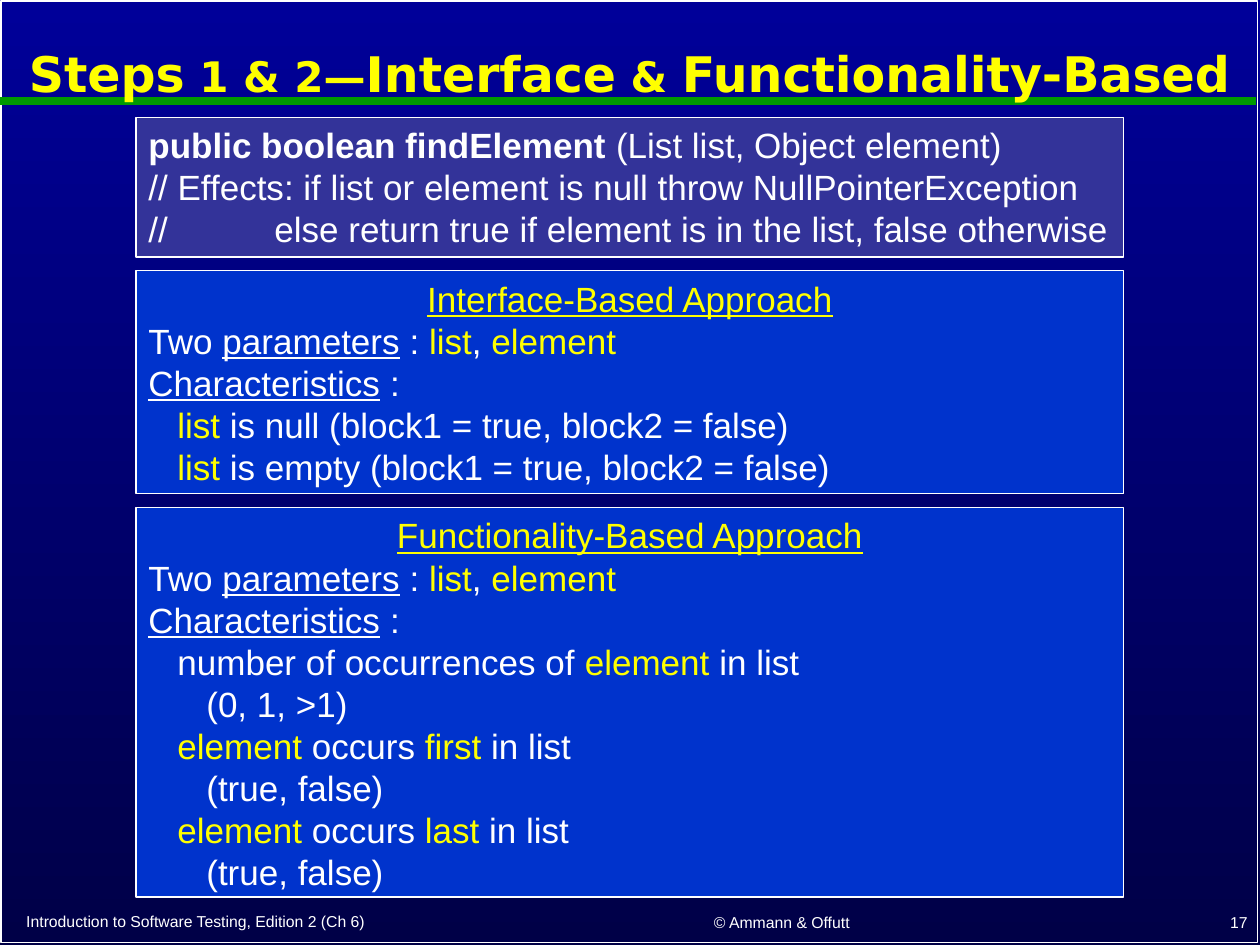
from lxml.etree import SubElement
from pptx import Presentation
from pptx.dml.color import RGBColor
from pptx.enum.shapes import MSO_CONNECTOR, MSO_SHAPE
from pptx.enum.text import MSO_ANCHOR, MSO_AUTO_SIZE, PP_ALIGN
from pptx.oxml.ns import qn
from pptx.util import Inches, Pt

THEME = {
    "top": "000099", "bottom": "000047", "rule": "009900",
    "text": "FFFFFF", "accent": "FFFF00", "code": "333399", "panel": "0033CC",
    "font": "Arial", "title_font": "DejaVu Sans",
    "title_size": 28, "title_small": 24, "body_size": 20, "footer_size": 9,
}
LEFT, CENTER, RIGHT = PP_ALIGN.LEFT, PP_ALIGN.CENTER, PP_ALIGN.RIGHT

# Run styles used in the content below
KEY = {"color": "accent"}
UNDER = {"underline": True}
HEADING = {"color": "accent", "underline": True}
BOLD = {"bold": True}
SMALL = {"size": "title_small"}

TITLE = [("Steps", {}), (" 1 & 2—", SMALL), ("Interface", {}),
         (" & ", SMALL), ("Functionality-Based", {})]

# A paragraph is (indent level, runs); a run is plain text or (text, style)
SIGNATURE = [
    (0, [("public boolean findElement ", BOLD), "(List list, Object element)"]),
    (0, ["// Effects: if list or element is null throw NullPointerException"]),
    (0, ["//\telse return true if element is in the list, false otherwise"]),
]
SHARED = [
    (0, ["Two ", ("parameters", UNDER), " : ", ("list", KEY), ", ", ("element", KEY)]),
    (0, [("Characteristics", UNDER), " :"]),
]
INTERFACE = [
    ("heading", [("Interface-Based Approach", HEADING)]),
    *SHARED,
    (1, [("list", KEY), " is null (block1 = true, block2 = false)"]),
    (1, [("list", KEY), " is empty (block1 = true, block2 = false)"]),
]
FUNCTIONALITY = [
    ("heading", [("Functionality-Based Approach", HEADING)]),
    *SHARED,
    (1, ["number of occurrences of ", ("element", KEY), " in list"]),
    (2, ["(0, 1, >1)"]),
    (1, [("element", KEY), " occurs ", ("first", KEY), " in list"]),
    (2, ["(true, false)"]),
    (1, [("element", KEY), " occurs ", ("last", KEY), " in list"]),
    (2, ["(true, false)"]),
]
BOXES = [("code", SIGNATURE), ("panel", INTERFACE), ("panel", FUNCTIONALITY)]

FOOTERS = [  # text, alignment, left, top, width, height
    ("Introduction to Software Testing, Edition 2 (Ch 6)", LEFT, 0.11, 7.18, 4.31, 0.26),
    ("© Ammann & Offutt", CENTER, 4.62, 7.17, 3.17, 0.27),
    ("17", RIGHT, 7.92, 7.16, 2.08, 0.28),
]

BOX_LEFT, BOX_TOP, BOX_WIDTH, BOX_GAP = 1.08, 0.93, 7.84, 0.11
LINE_HEIGHT, BOX_PADDING = 0.33, 0.12
INDENT, COMMENT_TAB = 0.23, 1


def color(name):
    return RGBColor.from_string(THEME[name])


def add_text(paragraph, runs, align=LEFT, indent=0, **defaults):
    """Fill a paragraph with runs; each run's style overrides the defaults."""
    paragraph.alignment = align
    properties = paragraph._p.get_or_add_pPr()
    if indent:
        properties.set("marL", str(Inches(indent)))
    if any("\t" in run for run in runs):
        tabs = SubElement(properties, qn("a:tabLst"))
        SubElement(tabs, qn("a:tab"), pos=str(Inches(COMMENT_TAB)), algn="l")
    for item in runs:
        text, own = (item, {}) if isinstance(item, str) else item
        style = {"font": "font", "color": "text", "size": "body_size", **defaults, **own}
        run = paragraph.add_run()
        run.text = text
        run.font.name = THEME[style["font"]]
        run.font.size = Pt(THEME[style["size"]])
        run.font.color.rgb = color(style["color"])
        run.font.bold = style.get("bold", False)
        run.font.underline = style.get("underline", False)


def add_rectangle(slide, left, top, width, height, fill=None, line_width=0.75):
    shape = slide.shapes.add_shape(MSO_SHAPE.RECTANGLE, Inches(left), Inches(top),
                                   Inches(width), Inches(height))
    shape.shadow.inherit = False
    if fill:
        shape.fill.solid()
        shape.fill.fore_color.rgb = color(fill)
    else:
        shape.fill.background()
    shape.line.color.rgb = color("text")
    shape.line.width = Pt(line_width)
    return shape


def add_backdrop(slide):
    fill = slide.background.fill
    fill.gradient()
    fill.gradient_angle = 270
    for stop, name in zip(fill.gradient_stops, ("top", "bottom")):
        stop.color.rgb = color(name)
    add_rectangle(slide, 0.01, 0.01, 9.97, 7.47, line_width=1)
    rule = slide.shapes.add_connector(MSO_CONNECTOR.STRAIGHT, 0, Inches(0.8),
                                      Inches(9.97), Inches(0.8))
    rule.line.color.rgb = color("rule")
    rule.line.width = Pt(4.5)
    SubElement(rule._element.spPr, qn("a:effectLst"))


def add_title(slide):
    title = slide.shapes.title
    title.left, title.top = Inches(0.09), Inches(0.11)
    title.width, title.height = Inches(9.81), Inches(1)
    frame = title.text_frame
    frame.auto_size = MSO_AUTO_SIZE.NONE
    frame.vertical_anchor = MSO_ANCHOR.MIDDLE
    paragraph = frame.paragraphs[0]
    paragraph.line_spacing = 0.9
    add_text(paragraph, TITLE, align=CENTER, font="title_font", size="title_size",
             color="accent", bold=True)
    title.element.getparent().append(title.element)  # in front of the rule


def add_box(slide, top, fill, paragraphs):
    """Draw one text box and return its height."""
    height = BOX_PADDING + LINE_HEIGHT * len(paragraphs)
    frame = add_rectangle(slide, BOX_LEFT, top, BOX_WIDTH, height, fill).text_frame
    frame.word_wrap = True
    frame.auto_size = MSO_AUTO_SIZE.SHAPE_TO_FIT_TEXT
    frame.vertical_anchor = MSO_ANCHOR.TOP
    for index, (level, runs) in enumerate(paragraphs):
        paragraph = frame.add_paragraph() if index else frame.paragraphs[0]
        if level == "heading":
            add_text(paragraph, runs, align=CENTER)
        else:
            add_text(paragraph, runs, indent=level * INDENT)
    return height


def add_footer(slide, text, align, *place):
    frame = slide.shapes.add_textbox(*map(Inches, place)).text_frame
    frame.word_wrap = True
    frame.vertical_anchor = MSO_ANCHOR.BOTTOM
    add_text(frame.paragraphs[0], [text], align=align, size="footer_size")


def main():
    presentation = Presentation()
    presentation.slide_width, presentation.slide_height = Inches(10), Inches(7.5)
    slide = presentation.slides.add_slide(presentation.slide_layouts[5])
    add_backdrop(slide)
    add_title(slide)
    top = BOX_TOP
    for fill, paragraphs in BOXES:
        top += add_box(slide, top, fill, paragraphs) + BOX_GAP
    for footer in FOOTERS:
        add_footer(slide, *footer)
    presentation.save("out.pptx")


if __name__ == "__main__":
    main()
